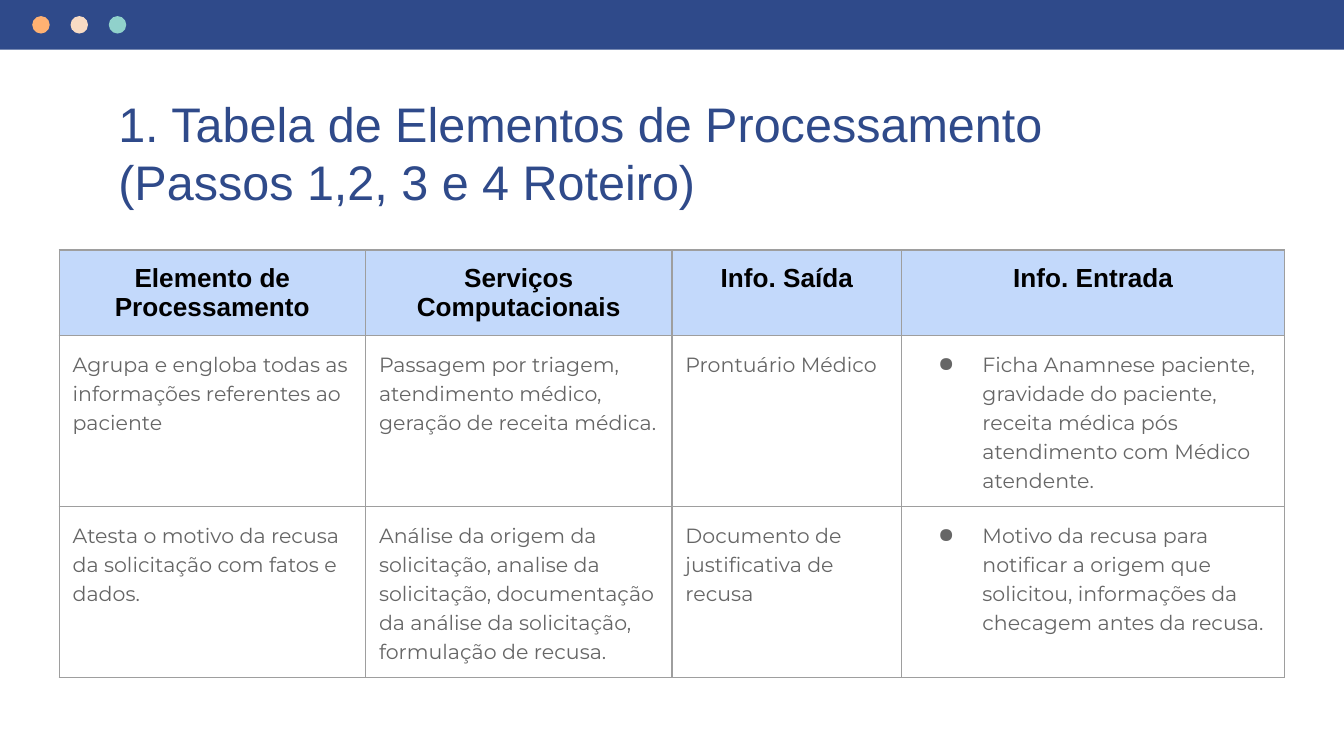
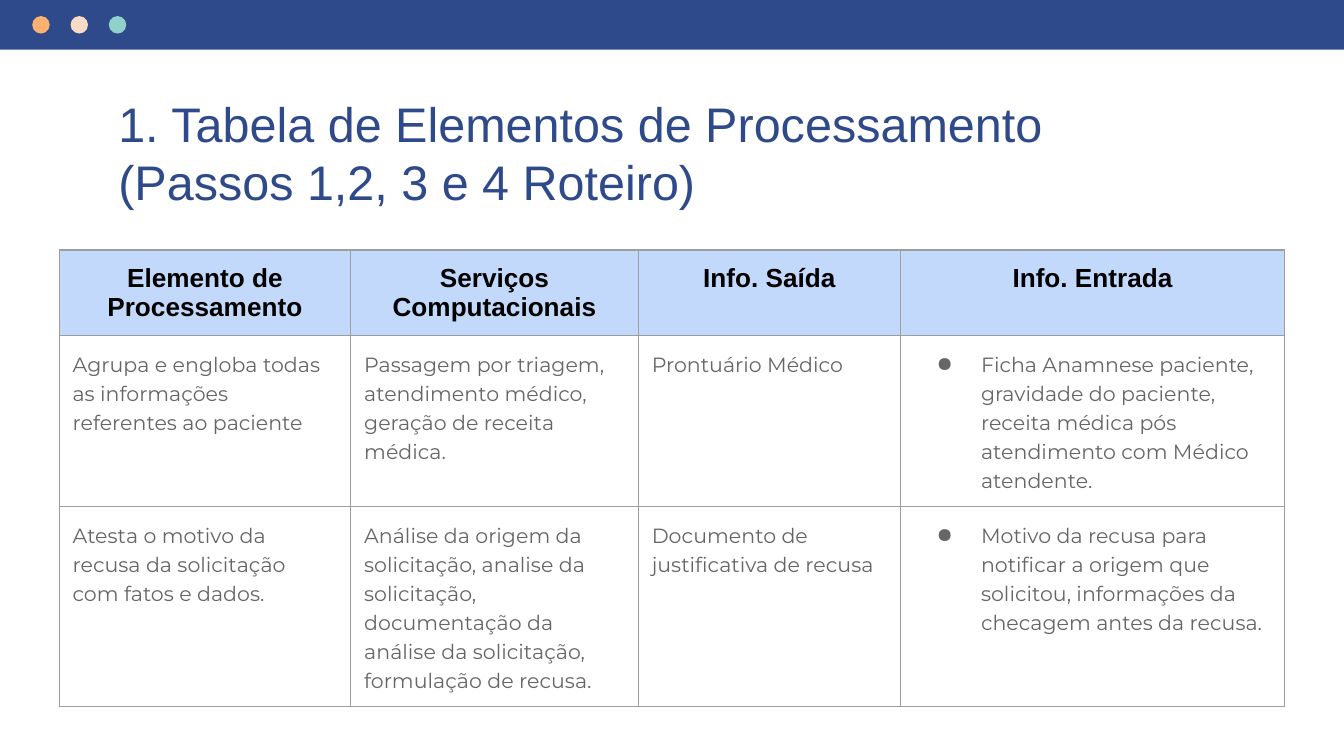
import dataclasses
import typing

import pptx
import pptx.dml.color
import pptx.enum.shapes
import pptx.enum.text
import pptx.oxml
import pptx.oxml.ns
import pptx.util
from pptx.presentation import Presentation as Deck
from pptx.slide import Slide

Shape = pptx.enum.shapes.MSO_SHAPE
Align = pptx.enum.text.PP_ALIGN

WIDE = pptx.util.Inches(10)
TALL = pptx.util.Inches(5.625)
COLS, ROWS = 100, 56.25


@dataclasses.dataclass(frozen=True)
class Theme:
    navy: str = "2F4A8A"
    orange: str = "FFB172"
    cream: str = "F8DBC4"
    teal: str = "90D1CB"
    head: str = "C3D9FB"
    rule: str = "9E9E9E"
    black: str = "000000"
    gray: str = "666666"
    sans: str = "Arial"
    body: str = "Montserrat"
    big: float = 26
    mid: float = 14
    small: float = 11
    line: float = 0.75


THEME = Theme()


class Box(typing.NamedTuple):
    left: float
    top: float
    width: float
    height: float


class Mark(typing.NamedTuple):
    kind: Shape
    box: Box
    fill: str


class Plan(typing.NamedTuple):
    cols: tuple[float, ...]
    rows: tuple[float, ...]


MARKS = [Mark(Shape.RECTANGLE, Box(0, 0, COLS, 3.7), THEME.navy)] + [
    Mark(Shape.OVAL, Box(2.4 + 2.85 * i, 1.2, 1.3, 1.3), fill)
    for i, fill in enumerate((THEME.orange, THEME.cream, THEME.teal))
]

TITLE = "1. Tabela de Elementos de Processamento (Passos 1,2, 3 e 4 Roteiro)"
TITLE_BOX = Box(7.8, 6, 84.4, 5.1)
GRID_LEFT, GRID_TOP = 4.4, 18.6

HEADS = (
    "Elemento de Processamento",
    "Serviços Computacionais",
    "Info. Saída",
    "Info. Entrada",
)
ITEMS = (
    (
        "Agrupa e engloba todas as informações referentes ao paciente",
        "Passagem por triagem, atendimento médico, geração de receita médica.",
        "Prontuário Médico",
        "Ficha Anamnese paciente, gravidade do paciente, receita médica pós "
        "atendimento com Médico atendente.",
    ),
    (
        "Atesta o motivo da recusa da solicitação com fatos e dados.",
        "Análise da origem da solicitação, analise da solicitação, "
        "documentação da análise da solicitação, formulação de recusa.",
        "Documento de justificativa de recusa",
        "Motivo da recusa para notificar a origem que solicitou, "
        "informações da checagem antes da recusa.",
    ),
)
PLANS = (
    Plan((22.8, 22.8, 17.1, 28.5), (5, 5, 5)),
    Plan((21.7, 21.4, 19.5, 28.6), (5, 10.1, 5)),
)


def across(cols: float) -> int:
    return round(WIDE * cols / COLS)


def down(rows: float) -> int:
    return round(TALL * rows / ROWS)


def place(box: Box) -> tuple[int, int, int, int]:
    return across(box.left), down(box.top), across(box.width), down(box.height)


def tint(code: str) -> pptx.dml.color.RGBColor:
    return pptx.dml.color.RGBColor.from_string(code)


def node(xml: str) -> typing.Any:
    tag, rest = xml.split(" ", 1)
    return pptx.oxml.parse_xml(f"{tag} {pptx.oxml.ns.nsdecls('a')} {rest}")


def write(frame: typing.Any, text: str, *, font: str, size: float, ink: str,
          bold: bool = False, align: Align = Align.LEFT,
          space: float = 1.0, bullet: bool = False) -> None:
    frame.text = text
    para = frame.paragraphs[0]
    para.alignment = align
    para.line_spacing = space
    if bullet:
        props = para._p.get_or_add_pPr()
        props.set("marL", str(across(5)))
        props.set("indent", str(-across(3.3)))
        props.append(node(f'<a:buClr ><a:srgbClr val="{ink}"/></a:buClr>'))
        props.append(node('<a:buChar char="●"/>'))
    style = para.runs[0].font
    style.name = font
    style.size = pptx.util.Pt(size)
    style.bold = bold
    style.color.rgb = tint(ink)


def draw(slide: Slide, mark: Mark) -> None:
    shape = slide.shapes.add_shape(mark.kind, *place(mark.box))
    shape.shadow.inherit = False
    shape.fill.solid()
    shape.fill.fore_color.rgb = tint(mark.fill)
    shape.line.fill.background()


def name(slide: Slide) -> None:
    title = slide.shapes.title
    title.left, title.top, title.width, title.height = place(TITLE_BOX)
    frame = title.text_frame
    frame.word_wrap = True
    frame.auto_size = pptx.enum.text.MSO_AUTO_SIZE.NONE
    frame.vertical_anchor = pptx.enum.text.MSO_ANCHOR.TOP
    frame.margin_left = frame.margin_right = across(1)
    frame.margin_top = frame.margin_bottom = down(1)
    write(frame, TITLE, font=THEME.sans, size=THEME.big, ink=THEME.navy)


def edge(cell: typing.Any) -> None:
    props = cell._tc.get_or_add_tcPr()
    width = pptx.util.Pt(THEME.line)
    for side in ("lnL", "lnR", "lnT", "lnB"):
        props.append(node(
            f'<a:{side} w="{int(width)}"><a:solidFill>'
            f'<a:srgbClr val="{THEME.rule}"/></a:solidFill></a:{side}>'
        ))


def fill(cell: typing.Any, text: str, *, top: bool, last: bool) -> None:
    cell.margin_left = cell.margin_right = across(1)
    cell.margin_top = cell.margin_bottom = down(1)
    edge(cell)
    if top:
        cell.fill.solid()
        cell.fill.fore_color.rgb = tint(THEME.head)
        write(cell.text_frame, text, font=THEME.sans, size=THEME.mid,
              ink=THEME.black, bold=True, align=Align.CENTER)
    else:
        cell.fill.background()
        write(cell.text_frame, text, font=THEME.body, size=THEME.small,
              ink=THEME.gray, space=1.15, bullet=last)


def chart(slide: Slide, plan: Plan) -> None:
    box = Box(GRID_LEFT, GRID_TOP, sum(plan.cols), sum(plan.rows))
    table = slide.shapes.add_table(
        len(plan.rows), len(plan.cols), *place(box)).table
    table.first_row = table.horz_banding = False
    for col, width in zip(table.columns, plan.cols):
        col.width = across(width)
    for row, height in zip(table.rows, plan.rows):
        row.height = down(height)
    for i, texts in enumerate((HEADS, *ITEMS)):
        for j, text in enumerate(texts):
            fill(table.cell(i, j), text, top=i == 0, last=j == len(texts) - 1)


def build(deck: Deck, plan: Plan) -> None:
    slide = deck.slides.add_slide(deck.slide_layouts.get_by_name("Title Only"))
    for mark in MARKS:
        draw(slide, mark)
    name(slide)
    chart(slide, plan)


def main() -> None:
    deck = pptx.Presentation()
    deck.slide_width, deck.slide_height = WIDE, TALL
    for plan in PLANS:
        build(deck, plan)
    deck.save("out.pptx")


if __name__ == "__main__":
    main()
